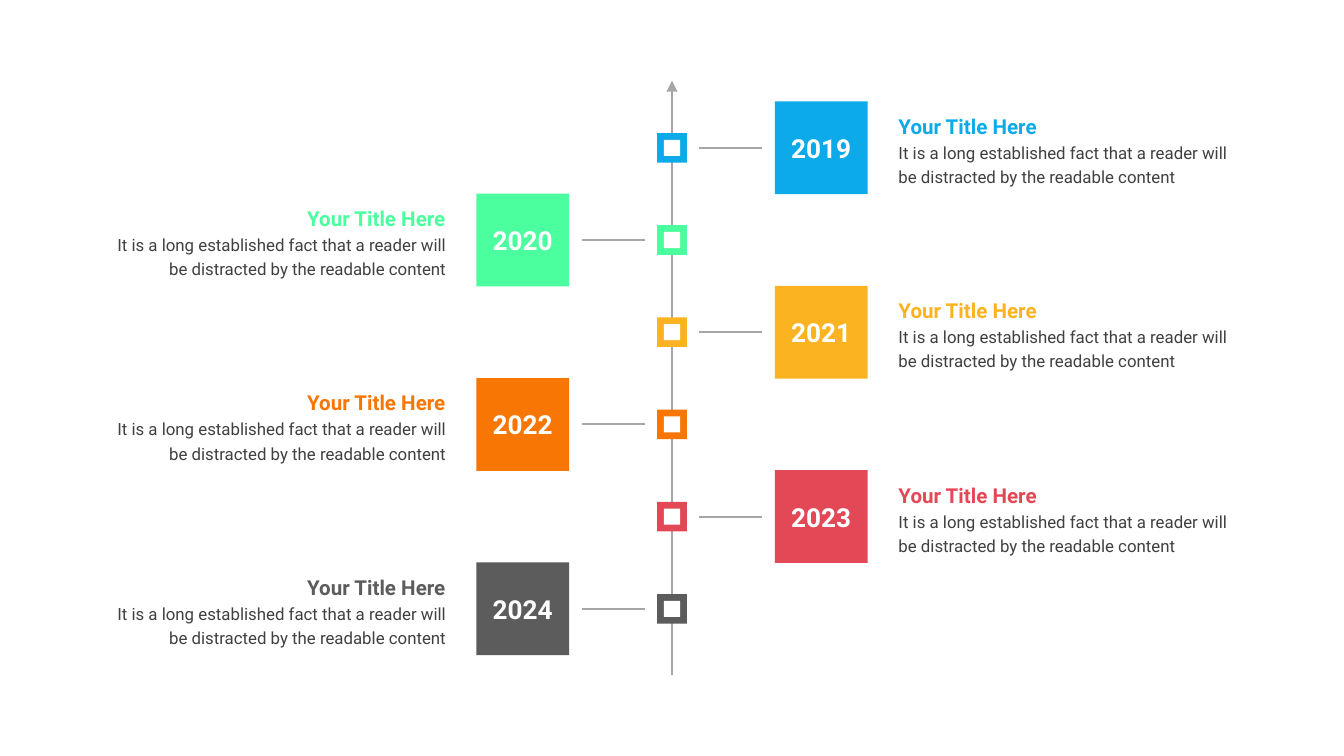
from dataclasses import dataclass

from lxml import etree
from pptx import Presentation, util as u
from pptx.dml.color import RGBColor
from pptx.enum import shapes, text
from pptx.oxml.ns import qn


@dataclass(frozen=True)
class Theme:
    font: str = "Roboto"
    white: str = "FFFFFF"
    body: str = "404040"
    rule: str = "A6A6A6"
    year_size: int = 14
    title_size: int = 11
    body_size: int = 9
    rule_width: int = 1


THEME = Theme()
SLIDE_W = 10
SLIDE_H = SLIDE_W * 9 / 16
AXIS_X = SLIDE_W / 2
AXIS_TOP, AXIS_BOTTOM = 0.6, 5.02
FIRST_Y, LAST_Y = 1.1, 4.53

# Distances from the axis, mirrored for milestones on the left
LINK_START, LINK_END = 0.2, 0.67
YEAR_CENTRE, YEAR_SIZE = 1.11, 0.69
NOTE_CENTRE, NOTE_W, NOTE_H = 2.93, 2.49, 0.59
MARKER_SIZE, HOLE_SIZE = 0.22, 0.12

TITLE = "Your Title Here"
DETAIL = ("It is a long established fact that a reader will "
          "be distracted by the readable content")
MILESTONES = [
    ("2019", "0CAAE9"),
    ("2020", "4BFF9E"),
    ("2021", "FBB321"),
    ("2022", "F87604"),
    ("2023", "E34857"),
    ("2024", "5C5C5C"),
]


def centred_box(x, y, width, height):
    """Return left, top, width and height of a box centred on (x, y)."""
    return [u.Inches(n) for n in (x - width / 2, y - height / 2, width, height)]


def add_square(parent, x, y, size, colour):
    square = parent.shapes.add_shape(shapes.MSO_SHAPE.RECTANGLE,
                                     *centred_box(x, y, size, size))
    square.shadow.inherit = False
    square.fill.solid()
    square.fill.fore_color.rgb = RGBColor.from_string(colour)
    square.line.fill.background()
    return square


def prepare_frame(shape):
    """Remove the insets, centre vertically and wrap the text."""
    frame = shape.text_frame
    frame.margin_left = frame.margin_right = 0
    frame.margin_top = frame.margin_bottom = 0
    frame.vertical_anchor = text.MSO_ANCHOR.MIDDLE
    frame.word_wrap = True
    return frame


def write(paragraph, words, *, size, colour, bold=False,
          align=text.PP_ALIGN.LEFT, spacing=None):
    paragraph.alignment = align
    paragraph.line_spacing = spacing
    run = paragraph.add_run()
    run.text = words
    run.font.name = THEME.font
    run.font.size = u.Pt(size)
    run.font.bold = bold
    run.font.color.rgb = RGBColor.from_string(colour)


def add_rule(slide, start, end, arrow_at_start=False):
    rule = slide.shapes.add_connector(
        shapes.MSO_CONNECTOR.STRAIGHT, *[u.Inches(n) for n in (*start, *end)])
    rule.line.color.rgb = RGBColor.from_string(THEME.rule)
    rule.line.width = u.Pt(THEME.rule_width)
    if arrow_at_start:
        etree.SubElement(rule.line._get_or_add_ln(), qn("a:headEnd"), type="triangle")
    etree.SubElement(rule._element.spPr, qn("a:effectLst"))


def add_note(slide, x, y, colour, align):
    note = slide.shapes.add_textbox(*centred_box(x, y, NOTE_W, NOTE_H))
    frame = prepare_frame(note)
    frame.auto_size = text.MSO_AUTO_SIZE.SHAPE_TO_FIT_TEXT
    write(frame.paragraphs[0], TITLE, size=THEME.title_size, colour=colour,
          bold=True, align=align, spacing=1.2)
    write(frame.add_paragraph(), DETAIL, size=THEME.body_size,
          colour=THEME.body, align=align, spacing=1.2)


def add_year(slide, x, y, year, colour):
    square = add_square(slide, x, y, YEAR_SIZE, colour)
    write(prepare_frame(square).paragraphs[0], year, size=THEME.year_size,
          colour=THEME.white, bold=True, align=text.PP_ALIGN.CENTER)


def add_marker(slide, y, colour):
    marker = slide.shapes.add_group_shape()
    add_square(marker, AXIS_X, y, MARKER_SIZE, colour)
    add_square(marker, AXIS_X, y, HOLE_SIZE, THEME.white)


def add_milestone(slide, y, side, year, colour):
    """Draw one milestone; side is 1 for right of the axis, -1 for left."""
    align = text.PP_ALIGN.LEFT if side > 0 else text.PP_ALIGN.RIGHT
    add_note(slide, AXIS_X + side * NOTE_CENTRE, y, colour, align)
    add_year(slide, AXIS_X + side * YEAR_CENTRE, y, year, colour)
    add_marker(slide, y, colour)
    add_rule(slide, (AXIS_X + side * LINK_START, y), (AXIS_X + side * LINK_END, y))


def main():
    deck = Presentation()
    deck.slide_width, deck.slide_height = u.Inches(SLIDE_W), u.Inches(SLIDE_H)
    slide = deck.slides.add_slide(deck.slide_layouts[6])

    add_rule(slide, (AXIS_X, AXIS_TOP), (AXIS_X, AXIS_BOTTOM), arrow_at_start=True)
    row_height = (LAST_Y - FIRST_Y) / (len(MILESTONES) - 1)
    for row, (year, colour) in enumerate(MILESTONES):
        side = -1 if row % 2 else 1
        add_milestone(slide, FIRST_Y + row * row_height, side, year, colour)

    deck.save("out.pptx")


if __name__ == "__main__":
    main()
